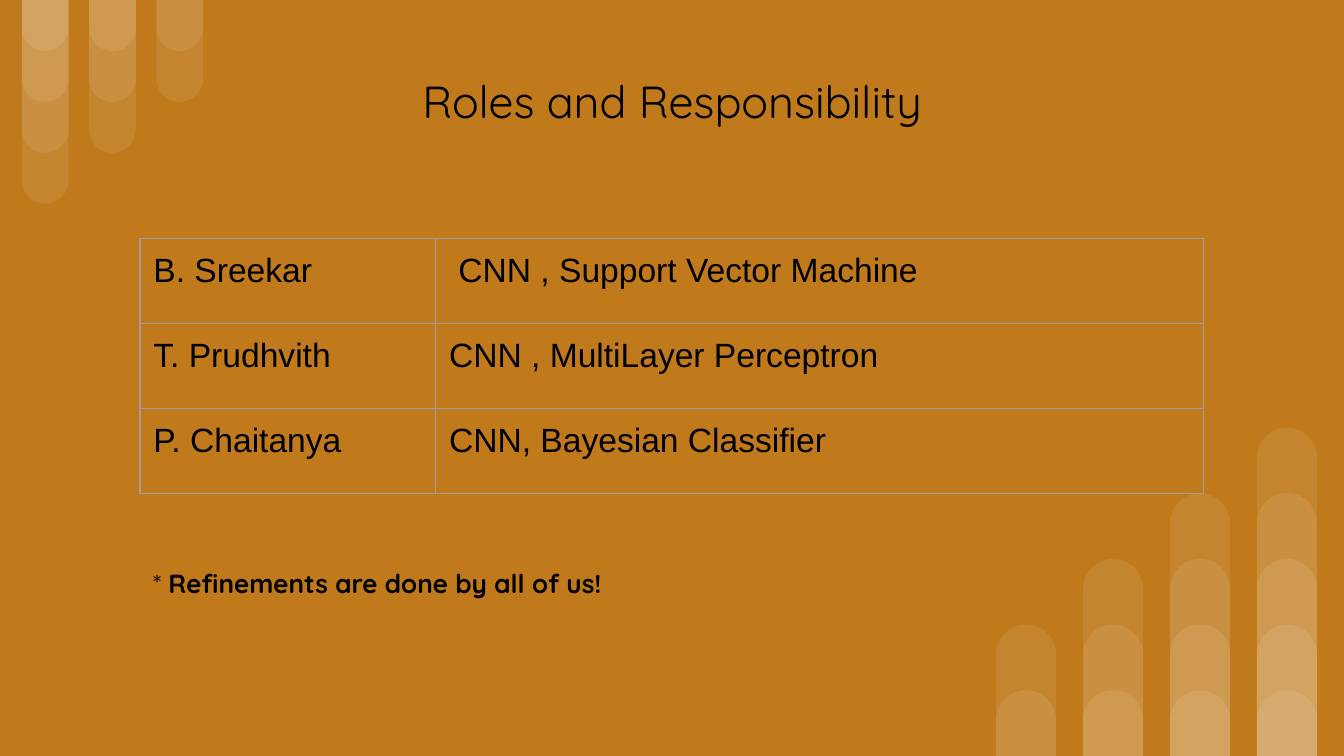
"""Build the Roles and Responsibility slide."""
from lxml import etree
from pptx import Presentation
from pptx import util as u
from pptx.dml.color import RGBColor
from pptx.enum import shapes, text
from pptx.oxml.ns import qn

COLORS = {"background": "C0791B", "bar": "FFFFFF", "ink": "000000", "border": "9E9E9E"}
TITLE = "Roles and Responsibility"
ROLES = [
    ("B. Sreekar", " CNN , Support Vector Machine"),
    ("T. Prudhvith", "CNN , MultiLayer Perceptron"),
    ("P. Chaitanya", "CNN, Bayesian Classifier"),
]
NOTE = [("* ", False), ("Refinements are done by all of us!", True)]
COLUMN_WIDTHS = (158.4, 411.2)
ROW_HEIGHT = 45.6
PAGE_WIDTH, PAGE_HEIGHT = 720, 405
BAR_ALPHA = 9
BAR_GROUPS = [
    {"left": 11.7, "pitch": 36.05, "width": 25, "step": 27.3, "counts": (4, 3, 2), "hanging": True},
    {"left": 533.6, "pitch": 46.6, "width": 32.2, "step": 35.2, "counts": (2, 3, 4, 5), "hanging": False},
]


def rgb(name):
    return RGBColor.from_string(COLORS[name])


def add_text(para, content, font="Quicksand", size=14, bold=False, align=text.PP_ALIGN.LEFT):
    para.alignment = align
    span = para.add_run()
    span.text = content
    span.font.name = font
    span.font.size = u.Pt(size)
    span.font.bold = bold
    span.font.color.rgb = rgb("ink")


def place(box, left, top, width, height):
    box.left, box.top, box.width, box.height = map(u.Pt, (left, top, width, height))
    frame = box.text_frame
    frame.word_wrap = True
    frame.auto_size = text.MSO_AUTO_SIZE.NONE
    frame.vertical_anchor = text.MSO_ANCHOR.TOP
    set_margins(frame)
    return frame.paragraphs[0]


def set_margins(holder):
    for side in ("left", "right", "top", "bottom"):
        setattr(holder, f"margin_{side}", u.Pt(7.2))


def add_bars(page, left, pitch, width, step, counts, hanging):
    group = page.shapes.add_group_shape()
    for column, count in enumerate(counts):
        for level in range(count, 0, -1):
            height = level * step
            top = 0 if hanging else PAGE_HEIGHT - height
            bar = group.shapes.add_shape(
                shapes.MSO_SHAPE.ROUND_2_SAME_RECTANGLE,
                *map(u.Pt, (left + column * pitch, top, width, height)))
            bar.adjustments[0], bar.adjustments[1] = 0.5, 0
            bar.rotation = 180 if hanging else 0
            bar.shadow.inherit = False
            bar.line.fill.background()
            bar.fill.solid()
            bar.fill.fore_color.rgb = rgb("bar")
            color = bar.fill._xPr.find(".//" + qn("a:srgbClr"))
            etree.SubElement(color, qn("a:alpha"), val=str(BAR_ALPHA * 1000))


def add_borders(cell):
    properties = cell._tc.get_or_add_tcPr()
    for index, side in enumerate(("lnL", "lnR", "lnT", "lnB")):
        line = etree.Element(qn(f"a:{side}"), w=str(u.Pt(0.75)))
        fill = etree.SubElement(line, qn("a:solidFill"))
        etree.SubElement(fill, qn("a:srgbClr"), val=COLORS["border"])
        properties.insert(index, line)


def add_roles(page):
    table = page.shapes.add_table(
        len(ROLES), len(COLUMN_WIDTHS),
        *map(u.Pt, (75, 127.8, sum(COLUMN_WIDTHS), ROW_HEIGHT * len(ROLES)))).table
    table.first_row = table.horz_banding = False
    for column, width in zip(table.columns, COLUMN_WIDTHS):
        column.width = u.Pt(width)
    for row, entries in zip(table.rows, ROLES):
        row.height = u.Pt(ROW_HEIGHT)
        for cell, content in zip(row.cells, entries):
            cell.fill.background()
            set_margins(cell)
            add_borders(cell)
            add_text(cell.text_frame.paragraphs[0], content, font="Arial", size=18)


def main():
    deck = Presentation()
    deck.slide_width, deck.slide_height = u.Pt(PAGE_WIDTH), u.Pt(PAGE_HEIGHT)
    page = deck.slides.add_slide(deck.slide_layouts[5])
    page.background.fill.solid()
    page.background.fill.fore_color.rgb = rgb("background")
    for group in BAR_GROUPS:
        add_bars(page, **group)
    add_roles(page)
    add_text(place(page.shapes.title, 157, 32.4, 406, 38.9), TITLE,
             size=24, align=text.PP_ALIGN.CENTER)
    para = place(page.shapes.add_textbox(0, 0, 0, 0), 75, 296.6, 554.4, 64.8)
    for content, bold in NOTE:
        add_text(para, content, bold=bold)
    deck.save("out.pptx")


if __name__ == "__main__":
    main()
